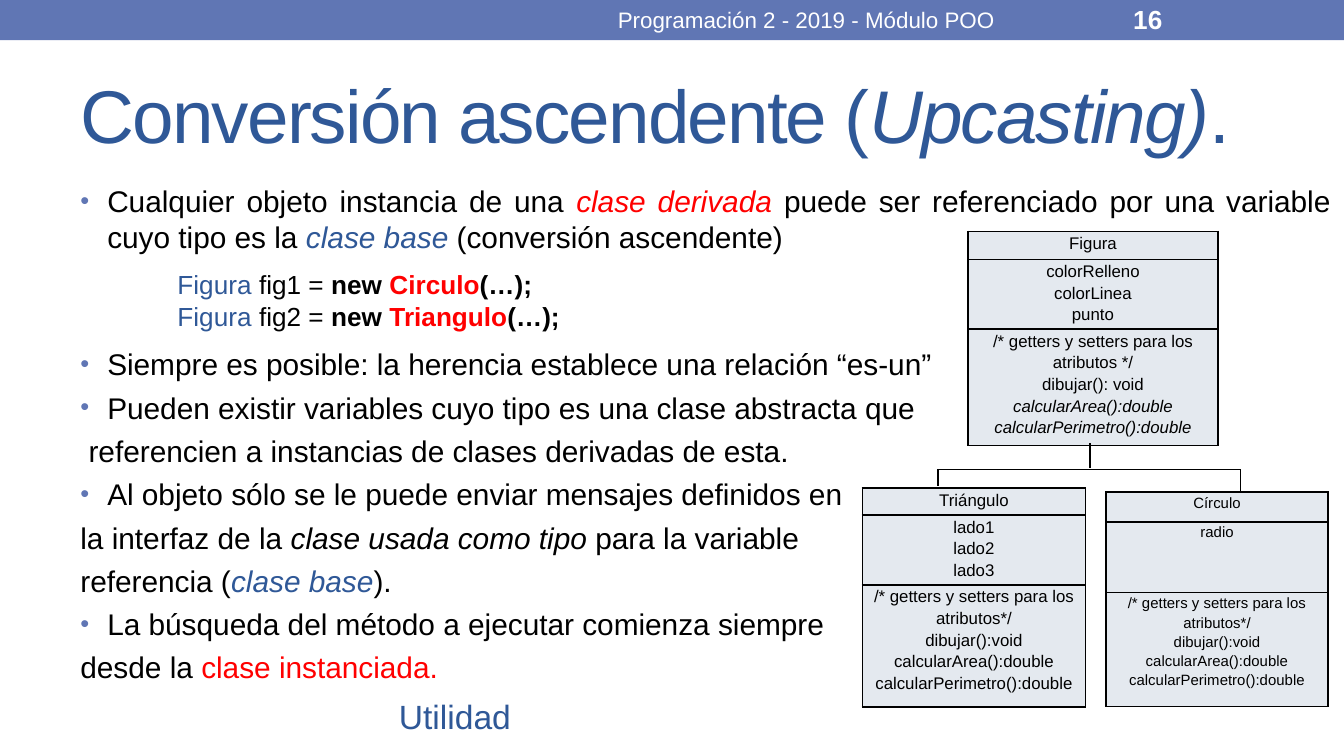
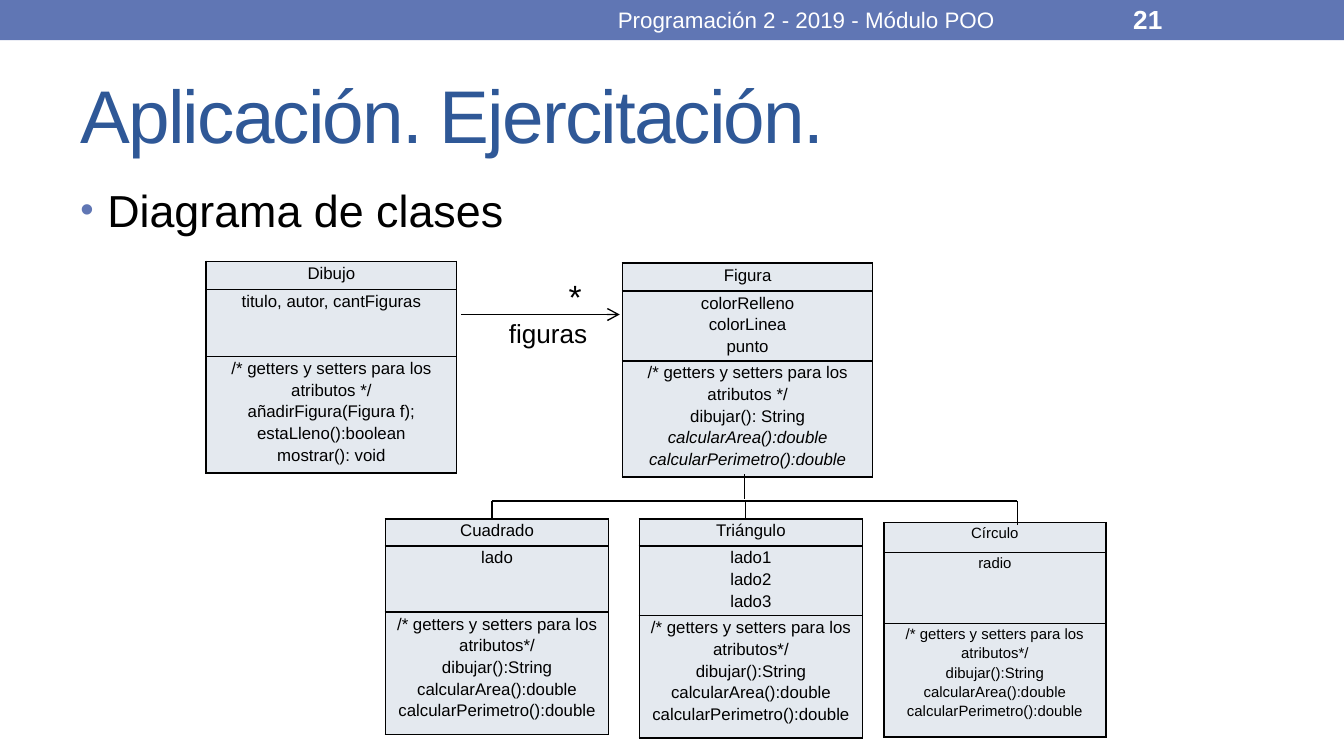
import dataclasses

import pptx
import pptx.dml.color
import pptx.enum.shapes
import pptx.enum.text
import pptx.oxml
import pptx.oxml.ns
import pptx.util

Pt = pptx.util.Pt
ALIGN = pptx.enum.text.PP_ALIGN
ANCHOR = pptx.enum.text.MSO_ANCHOR


@dataclasses.dataclass(frozen=True)
class Theme:
    font: str = "Arial"
    band: str = "6076B4"
    title: str = "2F5897"
    accent: str = "FF0000"
    text: str = "000000"
    light: str = "FFFFFF"
    cell: str = "E4E9EF"
    title_size: float = 40
    lead_size: float = 24
    label_size: float = 18
    body_size: float = 16
    code_size: float = 14
    footer_size: float = 12
    class_size: float = 9
    small_size: float = 8


THEME = Theme()
STYLES = {
    "plain": {"color": THEME.text},
    "italic": {"color": THEME.text, "italic": True},
    "bold": {"color": THEME.text, "bold": True},
    "blue": {"color": THEME.title},
    "blue italic": {"color": THEME.title, "italic": True},
    "red": {"color": THEME.accent},
    "red italic": {"color": THEME.accent, "italic": True},
    "red bold": {"color": THEME.accent, "bold": True},
    "light": {"color": THEME.light},
    "light bold": {"color": THEME.light, "bold": True},
}

COURSE = "Programación 2 - 2019 - Módulo POO"
FIGURE_FIELDS = ["colorRelleno", "colorLinea", "punto"]
FIGURE_ACCESS = "/* getters y setters para los atributos */"
SHAPE_ACCESS = "/* getters y setters para los atributos*/"
CALCULATIONS = ["calcularArea():double", "calcularPerimetro():double"]
ABSTRACT = [[(line, "italic")] for line in CALCULATIONS]
VOID_METHODS = [SHAPE_ACCESS, "dibujar():void", *CALCULATIONS]
STRING_METHODS = [SHAPE_ACCESS, "dibujar():String", *CALCULATIONS]
SIDES = ["lado1", "lado2", "lado3"]

KINDS = {
    "base": {"width": 134, "rows": (15, 36, 61), "size": THEME.class_size},
    "derived": {"width": 119.5, "rows": (14.5, 35.5, 65.5), "size": THEME.class_size},
    "small": {"width": 119, "rows": (16, 38, 61), "size": THEME.small_size},
}

SLIDES = [
    {
        "number": "16",
        "title": [("Conversión ascendente (", "blue"), ("Upcasting)", "blue italic"), (".", "blue")],
        "body": {
            "at": (36, 94.5, 684, 288), "size": THEME.body_size, "align": ALIGN.JUSTIFY, "before": 4,
            "paras": [
                ([("Cualquier objeto instancia de una ", "plain"), ("clase derivada ", "red italic"),
                  ("puede ser referenciado por una variable cuyo tipo es la ", "plain"),
                  ("clase base ", "blue italic"), ("(conversión ascendente)", "plain")], {"bullet": True}),
                ("Siempre es posible: la herencia establece una relación “es-un”",
                 {"bullet": True, "before": 49}),
                ("Pueden existir variables cuyo tipo es una clase abstracta que", {"bullet": True}),
                (" referencien a instancias de clases derivadas de esta.", {}),
                ("Al objeto sólo se le puede enviar mensajes definidos en ", {"bullet": True}),
                ([("la interfaz de la ", "plain"), ("clase usada como tipo", "italic"),
                  (" para la variable ", "plain")], {}),
                ([("referencia (", "plain"), ("clase base", "blue italic"), ("). ", "plain")], {}),
                ("La búsqueda del método a ejecutar comienza siempre ", {"bullet": True}),
                ([("desde la ", "plain"), ("clase instanciada. ", "red")], {}),
            ],
        },
        "labels": [
            {"at": (88, 140.5, 289.5, 41), "size": THEME.code_size, "paras": [
                ([("Figura", "blue"), (f" {name} = ", "plain"), ("new ", "bold"),
                  (kind, "red bold"), ("(…);", "bold")], {})
                for name, kind in (("fig1", "Circulo"), ("fig2", "Triangulo"))]},
            {"at": (124.5, 369.5, 238.5, 29), "size": THEME.label_size, "align": ALIGN.CENTER,
             "paras": [([("Utilidad", "blue")], {})]},
        ],
        "classes": [
            ("base", 518.5, 124, ["Figura"], FIGURE_FIELDS,
             [FIGURE_ACCESS, "dibujar(): void", *ABSTRACT]),
            ("small", 592.5, 263.5, ["Círculo"], ["radio"], VOID_METHODS),
            ("derived", 462, 261.5, ["Triángulo"], SIDES, VOID_METHODS),
        ],
        "tree": {"trunk": (584, 237.5), "bus": 251.5, "drops": [(502.5, 260.5), (664.5, 264)]},
        "arrows": [],
    },
    {
        "number": "21",
        "title": [("Aplicación. Ejercitación.", "blue")],
        "body": {"at": (36, 94.5, 648, 288), "size": THEME.lead_size, "before": 5.5,
                 "paras": [("Diagrama de clases", {"bullet": True})]},
        "labels": [
            {"at": (297.5, 144.5, 28, 29), "size": THEME.label_size, "paras": [("*", {})]},
            {"at": (265.5, 166.5, 83, 24.5), "size": THEME.code_size, "paras": [("figuras", {})]},
        ],
        "classes": [
            ("base", 333.5, 141, ["Figura"], FIGURE_FIELDS,
             [FIGURE_ACCESS, "dibujar(): String", *ABSTRACT]),
            ("small", 473.5, 280, ["Círculo"], ["radio"], STRING_METHODS),
            ("derived", 342.5, 278, ["Triángulo"], SIDES, STRING_METHODS),
            ("derived", 206.5, 278, ["Cuadrado"], ["lado"], STRING_METHODS),
            ("base", 110.5, 140, ["Dibujo"], ["titulo, autor, cantFiguras"],
             [FIGURE_ACCESS, "añadirFigura(Figura f);", "estaLleno():boolean", "mostrar(): void"]),
        ],
        "tree": {"trunk": (399, 254), "bus": 268.5,
                 "drops": [(263.5, 278), (399.5, 278), (545, 281.5)]},
        "arrows": [((247, 168.5), (332, 168.5))],
    },
]


def rgb(value):
    return pptx.dml.color.RGBColor.from_string(value)


def assign(target, values):
    for name, value in values.items():
        setattr(target, name, value)


def add_xml(parent, tag, **attributes):
    child = pptx.oxml.ns.qn(tag)
    element = parent.makeelement(child, attributes)
    parent.append(element)
    return element


def write_para(para, runs, size, values):
    assign(para, values)
    for text, style in [(runs, "plain")] if isinstance(runs, str) else runs:
        span = para.add_run()
        span.text = text
        values = dict(STYLES[style])
        span.font.color.rgb = rgb(values.pop("color"))
        assign(span.font, {"name": THEME.font, "size": Pt(size), **values})


def write_lines(frame, lines, size, values):
    for index, (runs, extra) in enumerate(lines):
        para = frame.add_paragraph() if index else frame.paragraphs[0]
        before = extra.get("before")
        spacing = {} if before is None else {"space_before": Pt(before)}
        write_para(para, runs, size, {**values, **spacing})
        if extra.get("bullet"):
            add_bullet(para)


def add_bullet(para):
    properties = para._p.get_or_add_pPr()
    properties.set("marL", str(Pt(14.4)))
    properties.set("indent", str(-Pt(14.4)))
    add_xml(add_xml(properties, "a:buClr"), "a:srgbClr", val=THEME.band)
    add_xml(properties, "a:buSzPct", val="85000")
    add_xml(properties, "a:buFont", typeface=THEME.font)
    add_xml(properties, "a:buChar", char="•")


def add_text(page, at, size, paras, align=ALIGN.LEFT, before=0, anchor=ANCHOR.TOP):
    box = page.shapes.add_textbox(*map(Pt, at))
    assign(box.text_frame, {"word_wrap": True, "vertical_anchor": anchor})
    write_lines(box.text_frame, paras, size, {"alignment": align, "space_before": Pt(before)})


def add_class(page, kind, left, top, *sections):
    layout = KINDS[kind]
    rows = layout["rows"]
    frame = page.shapes.add_table(len(rows), 1, *map(Pt, (left, top, layout["width"], sum(rows))))
    table = frame.table
    assign(table, {"first_row": False, "horz_banding": False})
    for row, height, lines in zip(table.rows, rows, sections):
        row.height = Pt(height)
        cell = row.cells[0]
        assign(cell, {"margin_left": Pt(5), "margin_right": Pt(5), "margin_top": 0, "margin_bottom": 0})
        properties = cell._tc.get_or_add_tcPr()
        for side in ("a:lnL", "a:lnR", "a:lnT", "a:lnB"):
            border = add_xml(properties, side, w=str(Pt(1)))
            add_xml(add_xml(border, "a:solidFill"), "a:srgbClr", val=THEME.text)
        cell.fill.solid()
        cell.fill.fore_color.rgb = rgb(THEME.cell)
        write_lines(cell.text_frame, [(line, {}) for line in lines], layout["size"],
                    {"alignment": ALIGN.CENTER, "line_spacing": 1.15})


def add_line(page, start, end, arrow=False):
    line = page.shapes.add_connector(
        pptx.enum.shapes.MSO_CONNECTOR.STRAIGHT, *map(Pt, (*start, *end)))
    line.line.color.rgb = rgb(THEME.text)
    line.line.width = Pt(0.75)
    properties = line.element.spPr
    if arrow:
        add_xml(properties.find(pptx.oxml.ns.qn("a:ln")), "a:tailEnd", type="arrow")
    add_xml(properties, "a:effectLst")


def add_tree(page, trunk, bus, drops):
    add_line(page, (drops[0][0], bus), (drops[-1][0], bus))
    add_line(page, trunk, (trunk[0], bus - 1))
    for x, bottom in drops:
        add_line(page, (x, bus), (x, bottom))


def add_master_band(deck, page):
    band = page.shapes.add_shape(
        pptx.enum.shapes.MSO_SHAPE.RECTANGLE, 0, 0, deck.slide_width, Pt(21.5))
    band.shadow.inherit = False
    band.fill.solid()
    band.fill.fore_color.rgb = rgb(THEME.band)
    band.line.fill.background()
    deck.slide_master.shapes.element.insert(2, band.element)


def add_title(page, runs):
    title = page.shapes.title
    assign(title, dict(zip(("left", "top", "width", "height"), map(Pt, (36, 31.5, 648, 58.5)))))
    assign(title.text_frame, {"word_wrap": True, "vertical_anchor": ANCHOR.MIDDLE,
                              "auto_size": pptx.enum.text.MSO_AUTO_SIZE.NONE})
    para = title.text_frame.paragraphs[0]
    write_para(para, runs, THEME.title_size, {"alignment": ALIGN.LEFT})
    for span in para.runs:
        span._r.get_or_add_rPr().set("spc", "-100")


def build_page(page, content):
    add_title(page, content["title"])
    add_text(page, **content["body"])
    for uml_class in content["classes"]:
        add_class(page, *uml_class)
    add_tree(page, **content["tree"])
    for start, end in content["arrows"]:
        add_line(page, start, end, arrow=True)
    for label in content["labels"]:
        add_text(page, **label)
    add_text(page, (600, 0.5, 84, 19.5), THEME.code_size,
             [([(content["number"], "light bold")], {})], anchor=ANCHOR.MIDDLE)
    add_text(page, (270, 0.5, 324, 19.5), THEME.footer_size,
             [([(COURSE, "light")], {})], align=ALIGN.CENTER, anchor=ANCHOR.MIDDLE)


def main():
    deck = pptx.Presentation()
    assign(deck, {"slide_width": Pt(720), "slide_height": Pt(405)})
    pages = [deck.slides.add_slide(deck.slide_layouts[5]) for _ in SLIDES]
    add_master_band(deck, pages[0])
    for page, content in zip(pages, SLIDES):
        build_page(page, content)
    deck.save("out.pptx")


if __name__ == "__main__":
    main()
